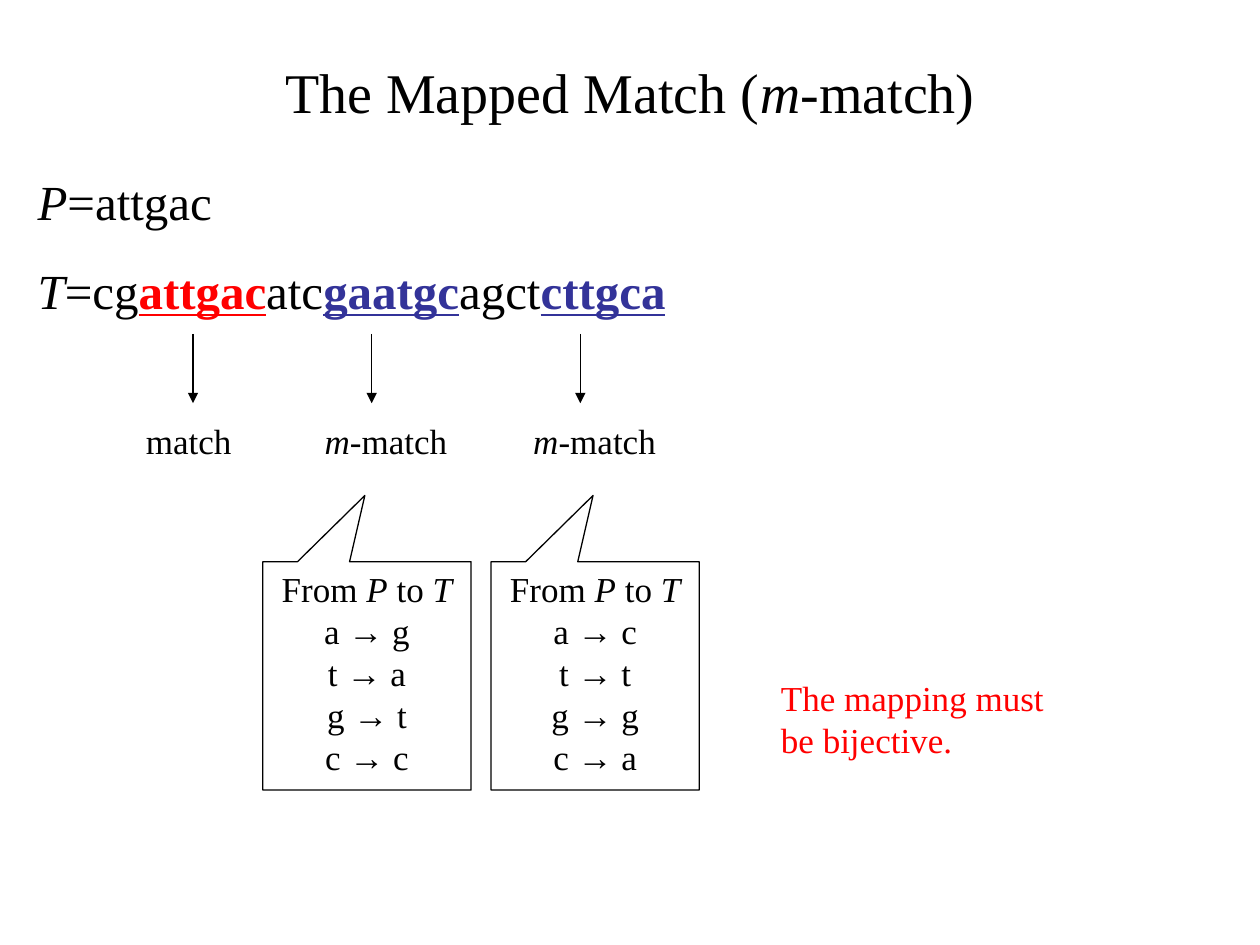
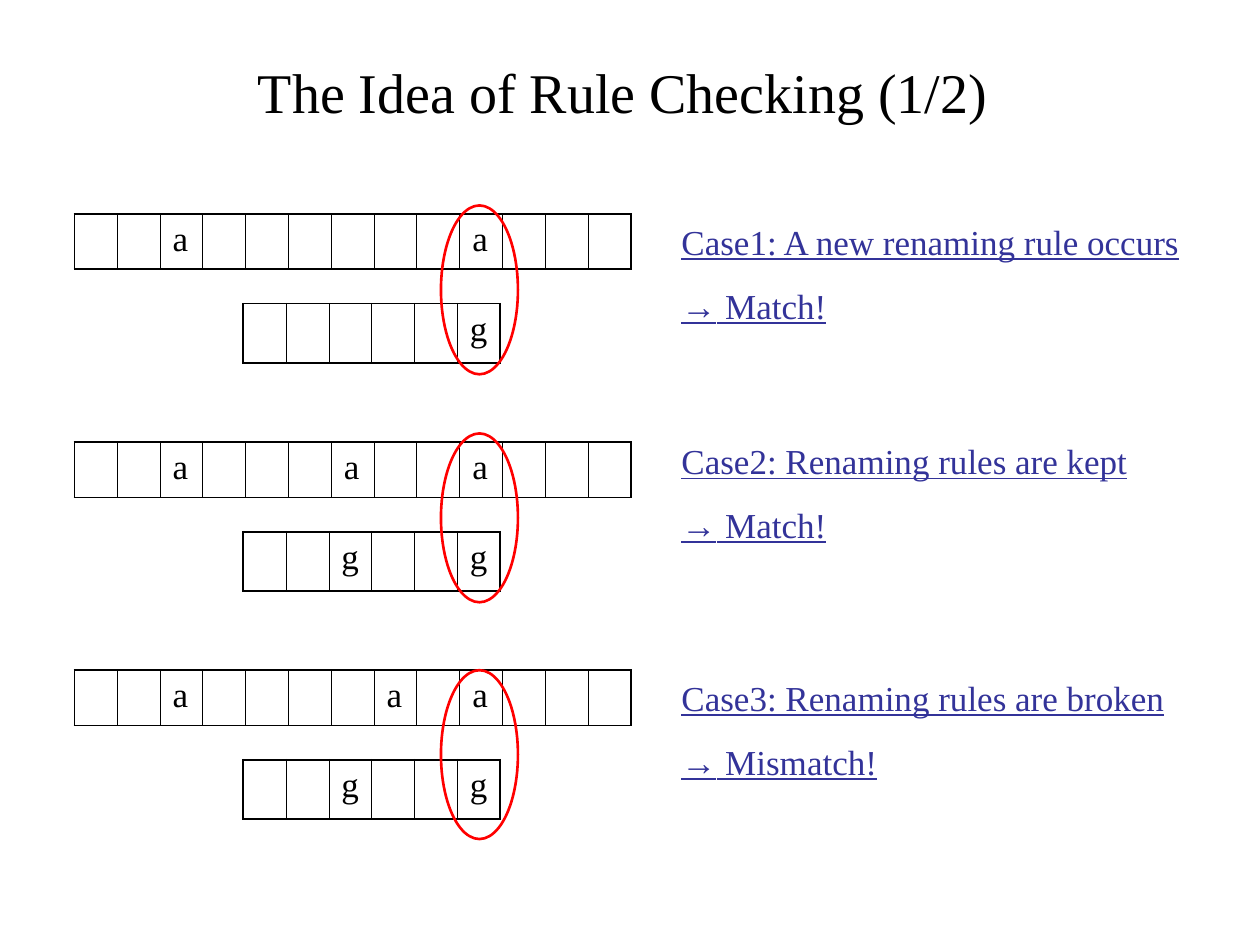
from lxml.etree import SubElement as Sub
from pptx import Presentation
from pptx.dml.color import RGBColor
from pptx.enum.shapes import MSO_CONNECTOR as LINK, MSO_SHAPE as SHAPE
from pptx.enum.text import MSO_ANCHOR as ANCHOR, PP_ALIGN as ALIGN
from pptx.oxml.ns import qn
from pptx.util import Pt

BLACK = RGBColor(0x00, 0x00, 0x00)
RED = RGBColor(0xFF, 0x00, 0x00)
NAVY = RGBColor(0x33, 0x33, 0x99)
SERIF, SANS = "Times New Roman", "Arial"
ARROW = "→"


def write(frame, lines, size=20, color=BLACK, align=ALIGN.LEFT, gap=0, pitch=1.2):
    """Fill a frame with lines of (text, marks) runs; marks: i, b, u, r(ed), n(avy)."""
    frame.word_wrap = True
    for k, line in enumerate(lines):
        para = frame.add_paragraph() if k else frame.paragraphs[0]
        para.alignment = align
        if pitch:
            para.line_spacing = Pt(size * pitch)
        if k:
            para.space_before = Pt(gap)
        for text, marks in line:
            run = para.add_run()
            run.text = text
            font = run.font
            font.name = SANS if text == ARROW else SERIF
            font.size = Pt(size)
            font.italic, font.bold, font.underline = (m in marks for m in "ibu")
            font.color.rgb = RED if "r" in marks else NAVY if "n" in marks else color


def label(slide, left, top, width, height, lines, **style):
    box = slide.shapes.add_textbox(Pt(left), Pt(top), Pt(width), Pt(height))
    write(box.text_frame, lines, **style)
    return box


deck = Presentation()
deck.slide_width, deck.slide_height = Pt(720), Pt(540)
titles = [
    [("The Mapped Match (", ""), ("m", "i"), ("-match)", "")],
    [("The Idea of Rule Checking (1/2) ", "")],
]
slides = []
for title in titles:
    slide = deck.slides.add_slide(deck.slide_layouts[6])
    head = label(slide, 36, 21.6, 648, 61.2, [title], size=32, align=ALIGN.CENTER)
    head.text_frame.vertical_anchor = ANCHOR.MIDDLE
    slides.append(slide)
match, rules = slides

# Slide 1: pattern and text, with the matches below
label(match, 14.4, 94.3, 692, 92.2, [
    [("P", "i"), ("=attgac", "")],
    [("T", "i"), ("=cg", ""), ("attgac", "bur"), ("atc", ""), ("gaatgc", "bun"),
     ("agct", ""), ("cttgca", "bun")],
], size=28, gap=17.5)

exact = [("match", "")]
mapped = [("m", "i"), ("-match", "")]
for x, width, kind in [(110.3, 73.4, exact), (212.4, 96.5, mapped), (331.6, 96.5, mapped)]:
    link = match.shapes.add_connector(LINK.STRAIGHT, Pt(x), Pt(190.8), Pt(x), Pt(230.4))
    link.line.color.rgb = BLACK
    link.line.width = Pt(0.75)
    Sub(link.line._get_or_add_ln(), qn("a:tailEnd"), type="triangle")
    Sub(link._element.spPr, qn("a:effectLst"))
    label(match, x - 34, 236.2, width, 31.7, [kind])

for left, image in [(150.2, "gatc"), (280.6, "ctga")]:
    call = match.shapes.add_shape(
        SHAPE.RECTANGULAR_CALLOUT, Pt(left), Pt(321), Pt(119), Pt(130.5))
    call.adjustments[0], call.adjustments[1] = -0.01, -0.79
    call.shadow.inherit = False
    call.fill.background()
    call.line.color.rgb = BLACK
    call.line.width = Pt(0.75)
    call.text_frame.vertical_anchor = ANCHOR.TOP
    lines = [[("From ", ""), ("P", "i"), (" to ", ""), ("T", "i")]]
    for old, new in zip("atgc", image):
        lines.append([(old + " ", ""), (ARROW, ""), (" " + new, "")])
    write(call.text_frame, lines, align=ALIGN.CENTER)

label(match, 439.2, 383, 187.2, 55.4, [[("The mapping must be bijective.", "")]], color=RED)

# Slide 2: three cases, each a text row over a pattern row
CELL, STEP = 24.48, 130.32
cases = [
    ("..a......a...", ".....g", 117.4, 122.4, "Case1: A new renaming rule occurs", " Match!"),
    ("..a...a..a...", "..g..g", 247.7, 247.7, "Case2: Renaming rules are kept", " Match!"),
    ("..a....a.a...", "..g..g", 383, 383, "Case3: Renaming rules are broken", " Mismatch!"),
]
for k, (upper, lower, ring_top, note_top, case, result) in enumerate(cases):
    top = 122.4 + k * STEP
    for word, x, y, height in [(upper, 42.5, top, 31.5), (lower, 139, top + 51.1, 33.9)]:
        last = len(word) - 1
        frame = rules.shapes.add_table(
            1, len(word), Pt(x), Pt(y), Pt(CELL * len(word)), Pt(height))
        grid = frame.table
        grid.first_row = grid.horz_banding = False
        grid.rows[0].height = Pt(height)
        for n, sign in enumerate(word):
            grid.columns[n].width = Pt(CELL)
            cell = grid.cell(0, n)
            props = cell._tc.get_or_add_tcPr()
            for side, outer in [("L", n == 0), ("R", n == last), ("T", True), ("B", True)]:
                edge = Sub(props, qn("a:ln" + side), w=str(Pt(1.08 if outer else 0.45)))
                Sub(Sub(edge, qn("a:solidFill")), qn("a:srgbClr"), val=str(BLACK))
            cell.fill.background()
            if sign != ".":
                write(cell.text_frame, [[(sign, "")]], pitch=None)

    ring = rules.shapes.add_shape(SHAPE.OVAL, Pt(252), Pt(ring_top), Pt(44), Pt(96.5))
    ring.shadow.inherit = False
    ring.fill.background()
    ring.line.color.rgb = RED
    ring.line.width = Pt(1.5)
    label(rules, 382.3, note_top, 306, 67.7,
          [[(case, "u")], [(ARROW, "u"), (result, "u")]], color=NAVY, gap=12.5)

deck.save("out.pptx")
